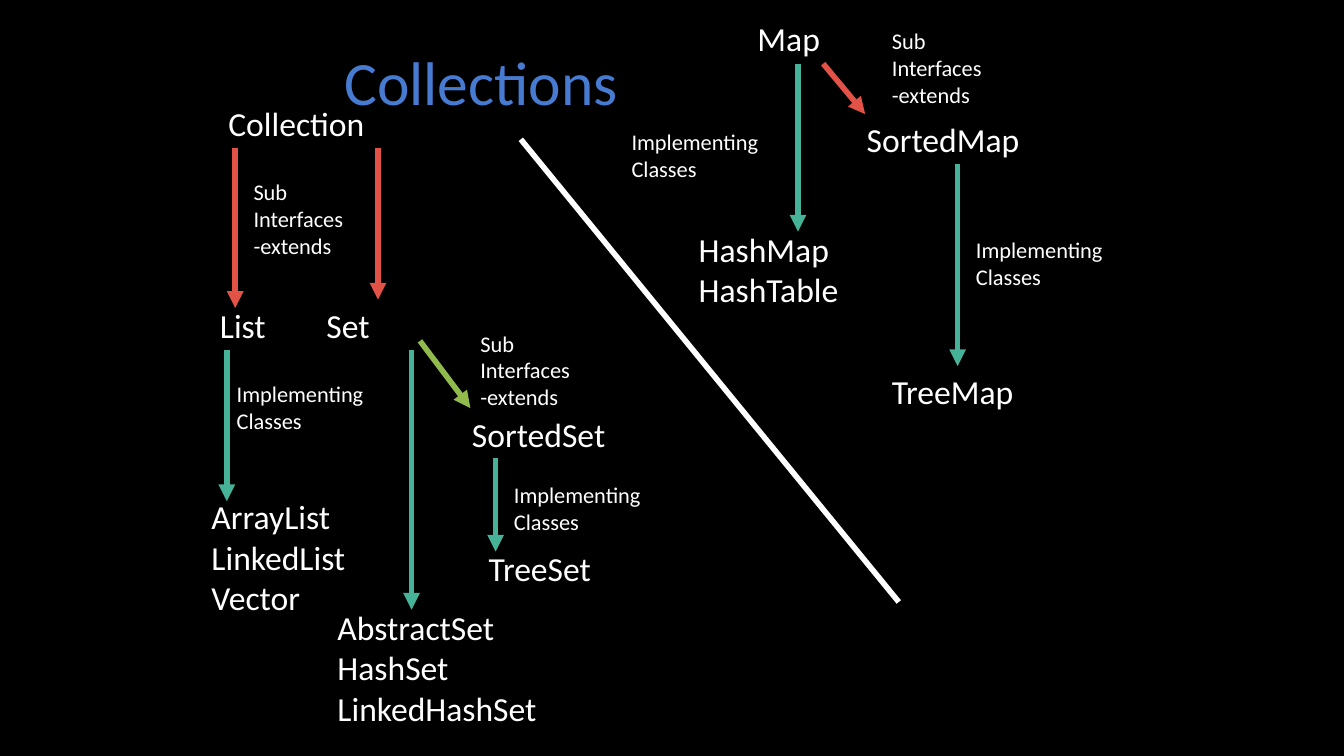
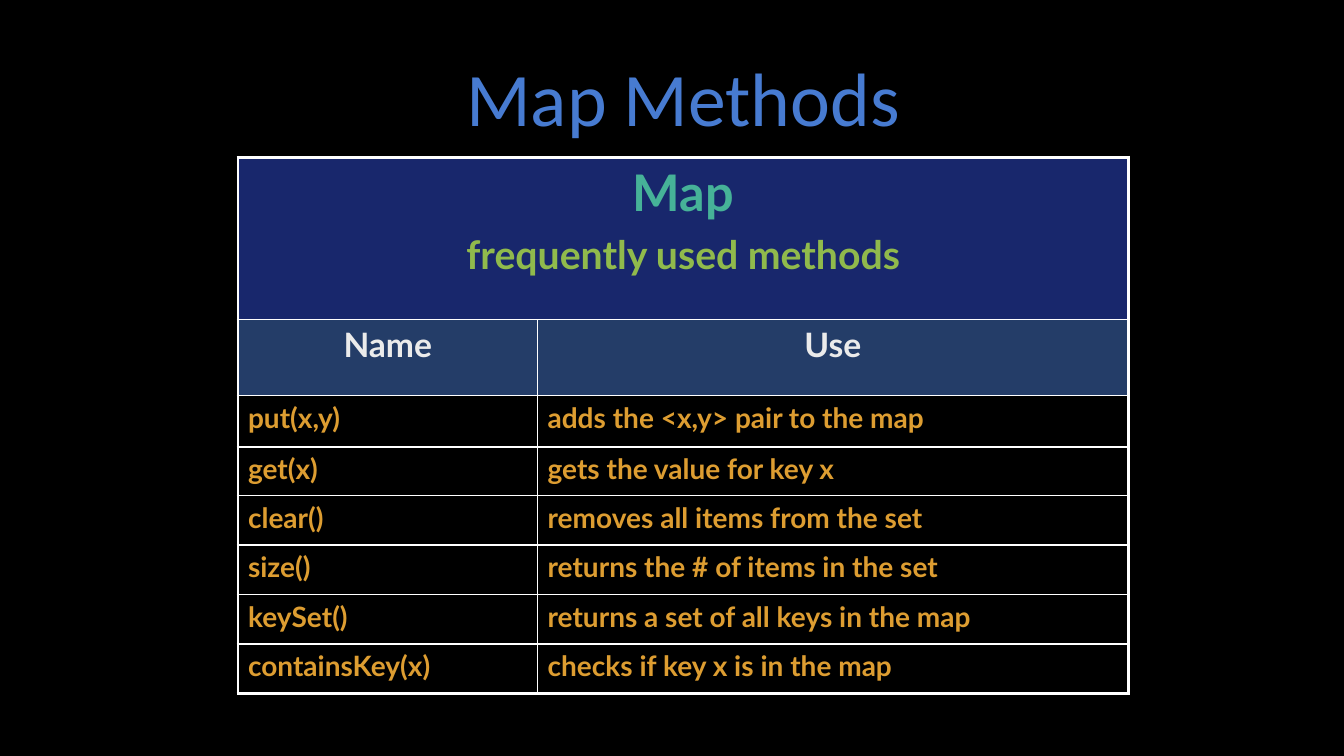
from lxml import etree
from pptx import Presentation
from pptx.dml.color import RGBColor
from pptx.enum.shapes import MSO_CONNECTOR
from pptx.enum.text import PP_ALIGN
from pptx.oxml.ns import qn
from pptx.util import Pt

LEFT, CENTER = PP_ALIGN.LEFT, PP_ALIGN.CENTER
STRAIGHT = MSO_CONNECTOR.STRAIGHT

HEX = {
    "black": "000000", "white": "FFFFFF", "blue": "477BD1", "red": "E25247",
    "green": "46B298", "lime": "90BA4C", "navy": "18276C", "steel": "243D68",
    "pale": "EBEBEB", "gold": "DD9D31",
}
BODY, HEAD = "Calibri", "Lato"

# Lines of text, left, top, width
TYPES = [
    (["Collection"], 156, 70, 134),
    (["List"], 150, 214, 70),
    (["Set"], 226, 214, 70),
    (["ArrayList", "LinkedList", "Vector"], 144, 351, 138),
    (["AbstractSet", "HashSet", "LinkedHashSet"], 234, 430, 194),
    (["SortedSet"], 330, 292, 134),
    (["TreeSet"], 342, 387.5, 107),
    (["Map"], 534, 9.5, 66),
    (["SortedMap"], 612, 81.5, 146),
    (["HashMap", "HashTable"], 492, 160, 141),
    (["TreeMap"], 630, 261.5, 119),
]
EXTENDS = ["Sub", "Interfaces", "-extends"]
CLASSES = ["Implementing", "Classes"]
NOTES = [
    (EXTENDS, 174, 124, 98),
    (EXTENDS, 336, 232, 98),
    (EXTENDS, 630, 16, 98),
    (CLASSES, 162, 268, 134),
    (CLASSES, 360, 340, 134),
    (CLASSES, 690, 165.5, 134),
    (CLASSES, 444, 88, 134),
]
# Colour, start x, start y, end x, end y
ARROWS = [
    ("red", 168, 106, 168, 220),
    ("red", 270, 106, 270, 214),
    ("lime", 300, 243.5, 336, 291.5),
    ("green", 294, 250, 294, 435.5),
    ("green", 354, 327.5, 354, 394),
    ("green", 162, 250, 162, 358),
    ("red", 588, 45.5, 618, 81.5),
    ("green", 570, 45.5, 570, 165.5),
    ("green", 684, 117.5, 684, 261.5),
]
SPLIT = ("white", 372, 99.5, 642, 430)

BANNER = [("Map", 36, "green"), ("frequently used methods", 28, "lime")]
METHODS = [
    ("Name", "Use"),
    ("put(x,y)", "adds the <x,y> pair to the map"),
    ("get(x)", "gets the value for key x"),
    ("clear()", "removes all items from the set"),
    ("size()", "returns the # of items in the set"),
    ("keySet()", "returns a set of all keys in the map"),
    ("containsKey(x)", "checks if key x is in the map"),
]
COLS = [214, 422]
ROWS = [116, 54, 37, 34.6] + [35.4] * 4
THIN, THICK = 1, 2.25


def rgb(name):
    return RGBColor.from_string(HEX[name])


def style(para, size, color, font=BODY, bold=False, align=LEFT):
    para.alignment = align
    for run in para.runs:
        run.font.size, run.font.name, run.font.bold = Pt(size), font, bold
        run.font.color.rgb = rgb(color)


def add_text(slide, lines, left, top, width, size, color="white", align=LEFT):
    high = len(lines) * size * 1.2 + 7
    box = slide.shapes.add_textbox(Pt(left), Pt(top), Pt(width), Pt(high))
    frame = box.text_frame
    frame.word_wrap = True
    frame.text = "\n".join(lines)
    for para in frame.paragraphs:
        style(para, size, color, align=align)


def add_title(slide, text, left, top, width, size, align=LEFT):
    add_text(slide, [text], left, top, width, size, "blue", align)


def add_line(slide, color, x1, y1, x2, y2, arrow=True):
    line = slide.shapes.add_connector(STRAIGHT, Pt(x1), Pt(y1), Pt(x2), Pt(y2))
    line.line.color.rgb = rgb(color)
    line.line.width = Pt(4)
    props = line.line._get_or_add_ln()
    if arrow:
        etree.SubElement(props, qn("a:tailEnd"), type="triangle")
    etree.SubElement(props.getparent(), qn("a:effectLst"))


def paint(cell, color, edges):
    """Draw the borders (left, right, top, bottom widths), then the fill."""
    props = cell._tc.get_or_add_tcPr()
    for side, width in zip("LRTB", edges):
        edge = etree.SubElement(props, qn("a:ln" + side), w=str(Pt(width)))
        fill = etree.SubElement(edge, qn("a:solidFill"))
        etree.SubElement(fill, qn("a:srgbClr"), val=HEX["white"])
    cell.fill.solid()
    cell.fill.fore_color.rgb = rgb(color)


def add_methods(slide, left, top):
    frame = slide.shapes.add_table(len(ROWS), len(COLS), Pt(left), Pt(top),
                                   Pt(sum(COLS)), Pt(sum(ROWS)))
    table = frame.table
    for col, width in zip(table.columns, COLS):
        col.width = Pt(width)
    for row, high in zip(table.rows, ROWS):
        row.height = Pt(high)
    banner = table.cell(0, 0)
    banner.merge(table.cell(0, 1))

    for r in range(len(ROWS)):
        fill = {0: "navy", 1: "steel"}.get(r, "black")
        for c in range(len(COLS)):
            outer = (c == 0, c == 1 or r == 0, r == 0, r == len(ROWS) - 1)
            paint(table.cell(r, c), fill, [THICK if o else THIN for o in outer])

    banner.text_frame.text = "\n".join(text for text, _, _ in BANNER)
    for para, (_, size, color) in zip(banner.text_frame.paragraphs, BANNER):
        style(para, size, color, HEAD, True, CENTER)
    para.space_before = Pt(size * 0.2)

    for r, pair in enumerate(METHODS, 1):
        look = (24, "pale", HEAD, True, CENTER) if r == 1 else (20, "gold", HEAD, True)
        for c, text in enumerate(pair):
            cell = table.cell(r, c)
            cell.text_frame.text = text
            style(cell.text_frame.paragraphs[0], *look)


def add_slide(deck):
    slide = deck.slides.add_slide(deck.slide_layouts[6])
    slide.background.fill.solid()
    slide.background.fill.fore_color.rgb = rgb("black")
    return slide


def main():
    deck = Presentation()
    deck.slide_width, deck.slide_height = Pt(960), Pt(540)

    tree = add_slide(deck)
    for size, group in ((24, TYPES), (16, NOTES)):
        for item in group:
            add_text(tree, *item, size)
    for arrow in ARROWS:
        add_line(tree, *arrow)
    add_line(tree, *SPLIT, arrow=False)
    add_title(tree, "Collections", 239, 27.5, 480, 44)

    maps = add_slide(deck)
    add_methods(maps, 170, 112.3)
    add_title(maps, "Map Methods", 128, 33, 720, 54, CENTER)

    deck.save("out.pptx")


if __name__ == "__main__":
    main()
